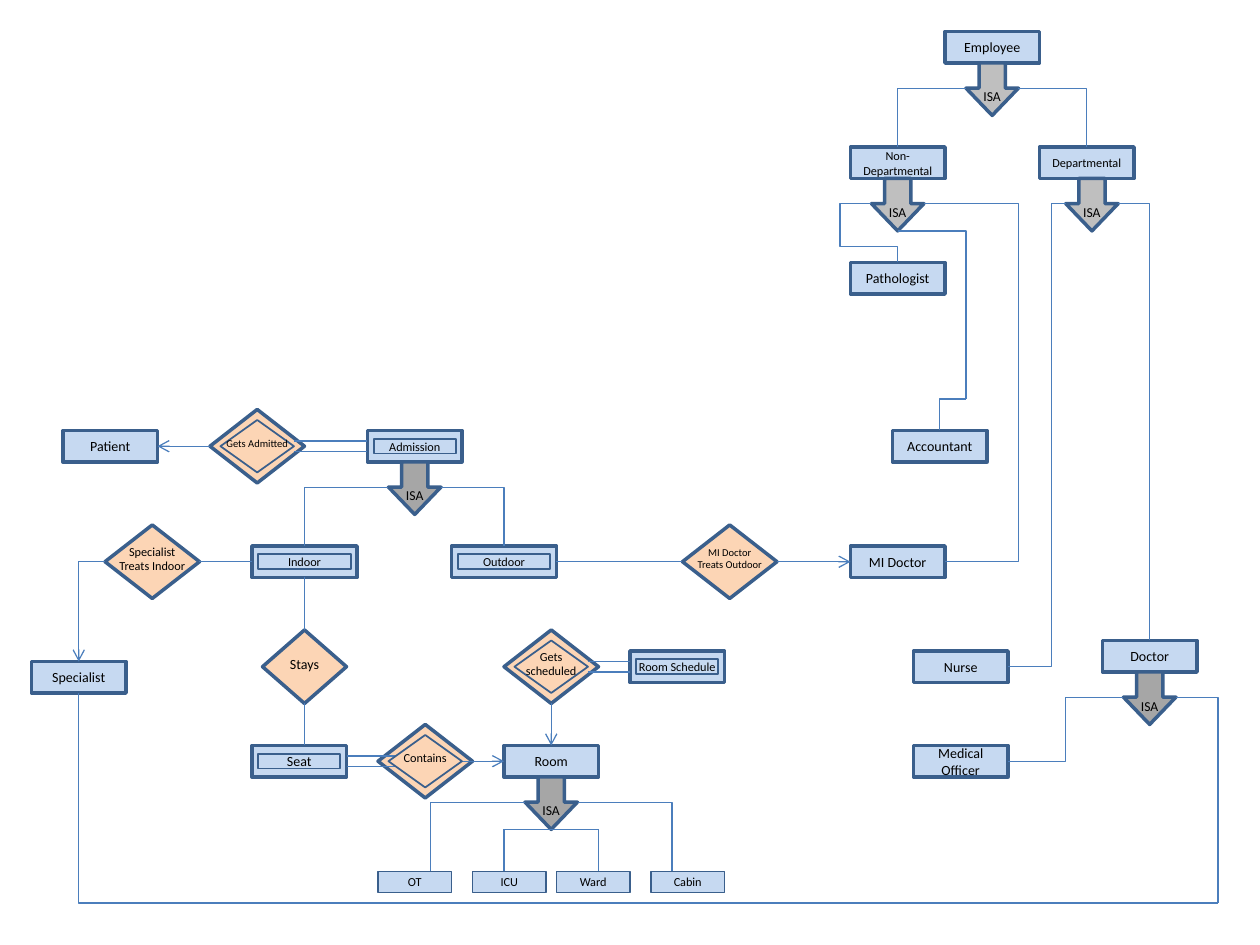
from lxml import etree
from pptx import Presentation
from pptx import util as u
from pptx.dml.color import RGBColor
from pptx.enum import shapes, text
from pptx.oxml.ns import qn

PX = u.Inches(1) // 120
COLORS = {
    "entity": "C6D9F1",
    "relation": "FCD5B5",
    "isa_dark": "A6A6A6",
    "isa_light": "BFBFBF",
    "outline": "3A5F8C",
    "link": "4B7EBC",
    "text": "000000",
}
RECT = shapes.MSO_SHAPE.RECTANGLE
DIAMOND = shapes.MSO_SHAPE.DIAMOND
ISA_ARROW = shapes.MSO_SHAPE.DOWN_ARROW

TIGHT = {"margin_left": 0, "margin_right": 0}
RELATION_FRAME = {"word_wrap": False, "margin_left": 12 * PX, "margin_right": 12 * PX,
                  "margin_top": 6 * PX, "margin_bottom": 12 * PX}
ISA_FRAME = {"word_wrap": False, "margin_top": 27 * PX, "margin_bottom": 0}

ENTITIES = [
    ("Patient", 60, 410), ("Specialist", 30, 630), ("Room", 480, 710),
    ("Medical Officer", 870, 710), ("Nurse", 870, 620), ("MI Doctor", 810, 520),
    ("Accountant", 850, 410), ("Pathologist", 810, 250), ("Employee", 900, 30),
    ("Doctor", 1050, 610),
]
WEAK_ENTITIES = [
    ("Admission", 350, 410, 90, 7, {}),
    ("Indoor", 240, 520, 100, 7, {}),
    ("Outdoor", 430, 520, 100, 7, {}),
    ("Seat", 240, 710, 90, 8, {}),
    ("Room Schedule", 600, 620, 90, 7, {**TIGHT, "margin_top": 0, "margin_bottom": 0}),
]
RELATIONS = [
    ("Specialist\nTreats Indoor", 100, 500, 90, 7),
    ("Stays", 250, 600, 80, 8),
    ("MI Doctor\nTreats Outdoor", 650, 500, 90, 6),
]
WEAK_RELATIONS = [
    ("Gets Admitted", 200, 390, 6),
    ("Contains", 360, 690, 7),
    ("Gets\nscheduled", 480, 600, 7),
]
ISA_MARKS = [
    (370, 440, "isa_dark"), (500, 740, "isa_dark"), (1070, 640, "isa_dark"),
    (920, 60, "isa_light"), (830, 170, "isa_light"), (1015, 170, "isa_light"),
]
ROOM_TYPES = [("OT", 360), ("ICU", 450), ("Ward", 530), ("Cabin", 620)]

DOUBLE_LINKS = [(280, 350, 420), (330, 380, 720), (560, 600, 630)]
PLAIN_LINKS = [
    (190, 535, 240, 535), (290, 550, 290, 600), (290, 670, 290, 710),
    (530, 535, 650, 535), (525, 790, 480, 790), (525, 790, 570, 790),
    (480, 790, 480, 830), (570, 790, 570, 830),
]
ARROW_LINKS = [
    (200, 425, 150, 425), (440, 725, 480, 725),
    (740, 535, 810, 535), (525, 670, 525, 710),
]
CORNER_LINKS = [
    (370, 464, 290, 520), (420, 464, 480, 520),
    (500, 764, 410, 830), (550, 764, 640, 830),
    (920, 84, 855, 140), (970, 84, 1035, 140),
    (855, 220, 920, 380), (920, 380, 895, 410),
    (880, 194, 970, 530), (900, 535, 970, 530),
    (1065, 194, 1095, 610),
    (1120, 664, 1160, 860), (1160, 860, 75, 660),
]
STEPPED_LINKS = [
    ((1015, 194, 960, 635), [0.25]),
    ((1070, 664, 960, 725), [0.5]),
    ((830, 194, 855, 250), [-1.2, 0.73]),
]


def rgb(name):
    return RGBColor.from_string(COLORS[name])


def apply(target, values):
    for name, value in values.items():
        setattr(target, name, value)


def add_node(slide, kind, box, fill, weight=2, label="", size=8, frame=None):
    node = slide.shapes.add_shape(kind, *(n * PX for n in box))
    node.shadow.inherit = False
    node.fill.solid()
    node.fill.fore_color.rgb = rgb(fill)
    node.line.color.rgb = rgb("outline")
    node.line.width = u.Pt(weight)
    if label:
        write_label(node.text_frame, label, size, frame or {})
    return node


def write_label(frame, label, size, settings):
    frame.text = label
    apply(frame, {"vertical_anchor": text.MSO_ANCHOR.MIDDLE, "word_wrap": True, **settings})
    for line in frame.paragraphs:
        line.alignment = text.PP_ALIGN.CENTER
        apply(line.font, {"name": "Calibri", "size": u.Pt(size)})
        line.font.color.rgb = rgb("text")


def add_isa(slide, x, y, fill):
    mark = add_node(slide, ISA_ARROW, (x, y, 50, 50), fill,
                    label="ISA", size=7.8, frame=ISA_FRAME)
    mark.adjustments[0] = 0.5
    mark.adjustments[1] = 0.52


def add_link(slide, ends, arrow=False, preset="line", bends=()):
    link = slide.shapes.add_connector(shapes.MSO_CONNECTOR.STRAIGHT, *(n * PX for n in ends))
    link.line.color.rgb = rgb("link")
    link.line.width = u.Pt(0.75)
    properties = link._element.spPr
    geometry = properties.find(qn("a:prstGeom"))
    geometry.set("prst", preset)
    for number, bend in enumerate(bends, 1):
        etree.SubElement(geometry.find(qn("a:avLst")), qn("a:gd"),
                         name=f"adj{number}", fmla=f"val {round(bend * 100000)}")
    if arrow:
        etree.SubElement(properties.find(qn("a:ln")), qn("a:tailEnd"), type="arrow")
    etree.SubElement(properties, qn("a:effectLst"))


def add_nodes(slide):
    for label, x, y in ENTITIES:
        add_node(slide, RECT, (x, y, 90, 30), "entity", label=label)
    add_node(slide, RECT, (810, 140, 90, 30), "entity",
             label="Non-\nDepartmental", size=7, frame={"word_wrap": False})
    add_node(slide, RECT, (990, 140, 90, 30), "entity",
             label="Departmental", size=7, frame=TIGHT)
    for _, x, y, width, _, _ in WEAK_ENTITIES:
        add_node(slide, RECT, (x, y, width, 30), "entity")
    for label, x, y, width, size in RELATIONS:
        add_node(slide, DIAMOND, (x, y, width, 70), "relation",
                 label=label, size=size, frame=RELATION_FRAME)
    for _, x, y, _ in WEAK_RELATIONS:
        add_node(slide, DIAMOND, (x, y, 90, 70), "relation")
    for label, x in ROOM_TYPES:
        add_node(slide, RECT, (x, 830, 70, 20), "entity", 1, label, 7)
    for mark in ISA_MARKS:
        add_isa(slide, *mark)


def add_links(slide):
    for left, right, y in DOUBLE_LINKS:
        for level in (y, y + 10):
            add_link(slide, (left, level, right, level))
    for ends in PLAIN_LINKS:
        add_link(slide, ends)
    for ends in ARROW_LINKS:
        add_link(slide, ends, arrow=True)
    for ends in CORNER_LINKS:
        add_link(slide, ends, preset="bentConnector2")
    add_link(slide, (100, 535, 75, 630), arrow=True, preset="bentConnector2")
    for ends, bends in STEPPED_LINKS:
        add_link(slide, ends, preset=f"bentConnector{len(bends) + 2}", bends=bends)


def add_inner_nodes(slide):
    for label, x, y, width, size, frame in WEAK_ENTITIES:
        add_node(slide, RECT, (x + 6, y + 8, width - 12, 14), "entity", 1, label, size, frame)
    for label, x, y, size in WEAK_RELATIONS:
        add_node(slide, DIAMOND, (x + 10, y + 10, 70, 50), "relation", 1,
                 label, size, RELATION_FRAME)


def main():
    deck = Presentation()
    apply(deck, {"slide_width": 1200 * PX, "slide_height": 900 * PX})
    slide = deck.slides.add_slide(deck.slide_layouts[6])
    add_nodes(slide)
    add_links(slide)
    add_inner_nodes(slide)
    deck.save("out.pptx")


if __name__ == "__main__":
    main()
